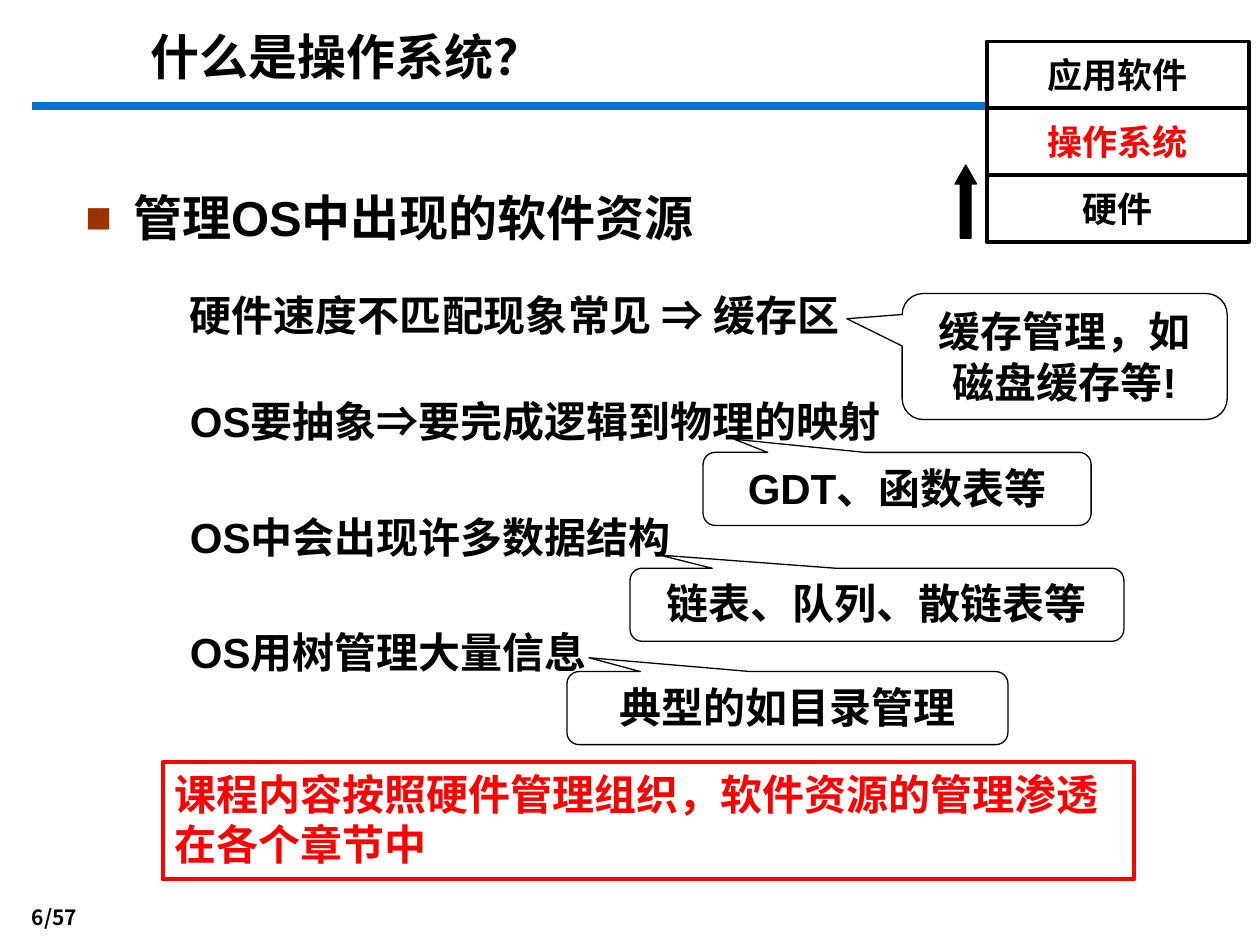
from pptx import Presentation
from pptx.dml.color import RGBColor
from pptx.enum.shapes import MSO_CONNECTOR, MSO_SHAPE
from pptx.enum.text import MSO_ANCHOR, PP_ALIGN
from pptx.oxml.ns import qn
from pptx.util import Inches, Pt
from lxml.etree import SubElement

BLACK = RGBColor(0x00, 0x00, 0x00)
WHITE = RGBColor(0xFF, 0xFF, 0xFF)
RED = RGBColor(0xFF, 0x00, 0x00)
BLUE = RGBColor(0x05, 0x74, 0xD0)
NUMBER_COLOR = RGBColor(0x00, 0x00, 0x08)

LAYERS = [("应用软件", BLACK), ("操作系统", RED), ("硬件", BLACK)]
POINTS = [
    (2.09, "硬件速度不匹配现象常见 ⇒ 缓存区"),
    (2.93, "OS要抽象⇒要完成逻辑到物理的映射"),
    (3.85, "OS中会出现许多数据结构"),
    (4.76, "OS用树管理大量信息"),
]
CALLOUTS = [
    ((7.16, 2.33, 2.58, 1), (-0.67, -0.3), "缓存管理，如磁盘缓存等!"),
    ((5.58, 3.59, 3.08, 0.58), (-0.42, -0.68), "GDT、函数表等"),
    ((5, 4.51, 3.92, 0.58), (-0.44, -0.68), "链表、队列、散链表等"),
    ((4.5, 5.33, 3.5, 0.58), (-0.45, -0.69), "典型的如目录管理"),
]


def write(shape, text, size, color=BLACK, align=PP_ALIGN.LEFT,
          anchor=MSO_ANCHOR.TOP, font="Arial"):
    """Put one bold paragraph in a shape and return the paragraph."""
    frame = shape.text_frame
    frame.text = text
    frame.word_wrap = True
    frame.vertical_anchor = anchor
    paragraph = frame.paragraphs[0]
    paragraph.alignment = align
    for run in paragraph.runs:
        run.font.size = Pt(size)
        run.font.name = font
        run.font.bold = True
        run.font.color.rgb = color
    return paragraph


def add_text(slide, box, text, size, **style):
    """Add a text box and return its shape and paragraph."""
    shape = slide.shapes.add_textbox(*map(Inches, box))
    return shape, write(shape, text, size, **style)


def add_outline(slide, kind, box, line_color, line_width, fill=None):
    """Add a preset shape with a plain outline and an optional fill."""
    shape = slide.shapes.add_shape(kind, *map(Inches, box))
    shape.shadow.inherit = False
    if fill is None:
        shape.fill.background()
    else:
        shape.fill.solid()
        shape.fill.fore_color.rgb = fill
    shape.line.color.rgb = line_color
    shape.line.width = Pt(line_width)
    return shape


def add_header(slide, left, top, width):
    """Draw the title and the rule below it."""
    rule = slide.shapes.add_connector(
        MSO_CONNECTOR.STRAIGHT, Inches(left), Inches(top + 0.63),
        Inches(left + width), Inches(top + 0.63))
    rule.line.color.rgb = BLUE
    rule.line.width = Pt(4.5)
    SubElement(rule._element.spPr, qn("a:effectLst"))
    title, _ = add_text(slide, (left + 0.85, top, 5.43, 0.47), "什么是操作系统？", 28)
    title.text_frame.margin_top = 0


def add_heading(slide, box, text):
    """Write the heading with its square bullet."""
    _, paragraph = add_text(slide, box, text, 28)
    properties = paragraph._p.get_or_add_pPr()
    properties.set("marL", str(Inches(0.38)))
    properties.set("indent", str(Inches(-0.38)))
    color = SubElement(properties, qn("a:buClr"))
    SubElement(color, qn("a:srgbClr"), val="993300")
    SubElement(properties, qn("a:buSzPct"), val="90000")
    SubElement(properties, qn("a:buFont"), typeface="Arial")
    SubElement(properties, qn("a:buChar"), char="■")
    paragraph.line_spacing = 1.3


def add_point(slide, box, text):
    """Write one indented point."""
    _, paragraph = add_text(slide, box, text, 24)
    paragraph._p.get_or_add_pPr().set("marL", str(Inches(0.5)))
    paragraph.line_spacing = 1.4


def add_layer_stack(slide, left, top, width, row_height):
    """Stack the system layers with an upward arrow beside them."""
    for row, (name, color) in enumerate(LAYERS):
        box = (left, top + row * row_height, width, row_height)
        layer = add_outline(slide, MSO_SHAPE.RECTANGLE, box, BLACK, 2.25, WHITE)
        write(layer, name, 20, color, PP_ALIGN.CENTER, MSO_ANCHOR.MIDDLE)
    arrow = add_outline(slide, MSO_SHAPE.UP_ARROW,
                        (left - 0.25, top + 0.98, 0.17, 0.58), BLACK, 0.75, BLACK)
    arrow.adjustments[1] = 0.88


def add_callout(slide, box, tip, text):
    """Add a rounded callout whose tip is a share of its size from its centre."""
    callout = add_outline(slide, MSO_SHAPE.ROUNDED_RECTANGULAR_CALLOUT,
                          box, BLACK, 0.75, WHITE)
    callout.adjustments[0], callout.adjustments[1] = tip
    write(callout, text, 24, align=PP_ALIGN.CENTER)


def add_conclusion(slide, box, text):
    """Add the red framed conclusion."""
    frame = add_outline(slide, MSO_SHAPE.RECTANGLE, box, RED, 2.25)
    write(frame, text, 24, RED)


def main():
    """Build the slide and save it."""
    presentation = Presentation()
    presentation.slide_width = Inches(10)
    presentation.slide_height = Inches(7.5)
    slide = presentation.slides.add_slide(presentation.slide_layouts[6])
    add_header(slide, 0.25, 0.21, 9.5)
    add_heading(slide, (0.58, 1.3, 8.83, 0.95), "管理OS中出现的软件资源")
    for top, text in POINTS:
        add_point(slide, (0.91, top, 8.33, 0.66), text)
    add_layer_stack(slide, 7.83, 0.33, 2.08, 0.53)
    for box, tip, text in CALLOUTS:
        add_callout(slide, box, tip, text)
    add_conclusion(slide, (1.29, 6.05, 7.71, 0.93),
                   "课程内容按照硬件管理组织，软件资源的管理渗透在各个章节中")
    add_text(slide, (0, 7.14, 0.71, 0.29), "6/57", 12, color=NUMBER_COLOR,
             align=PP_ALIGN.RIGHT, anchor=MSO_ANCHOR.BOTTOM,
             font="Noto Sans CJK JP")
    presentation.save("out.pptx")


if __name__ == "__main__":
    main()
